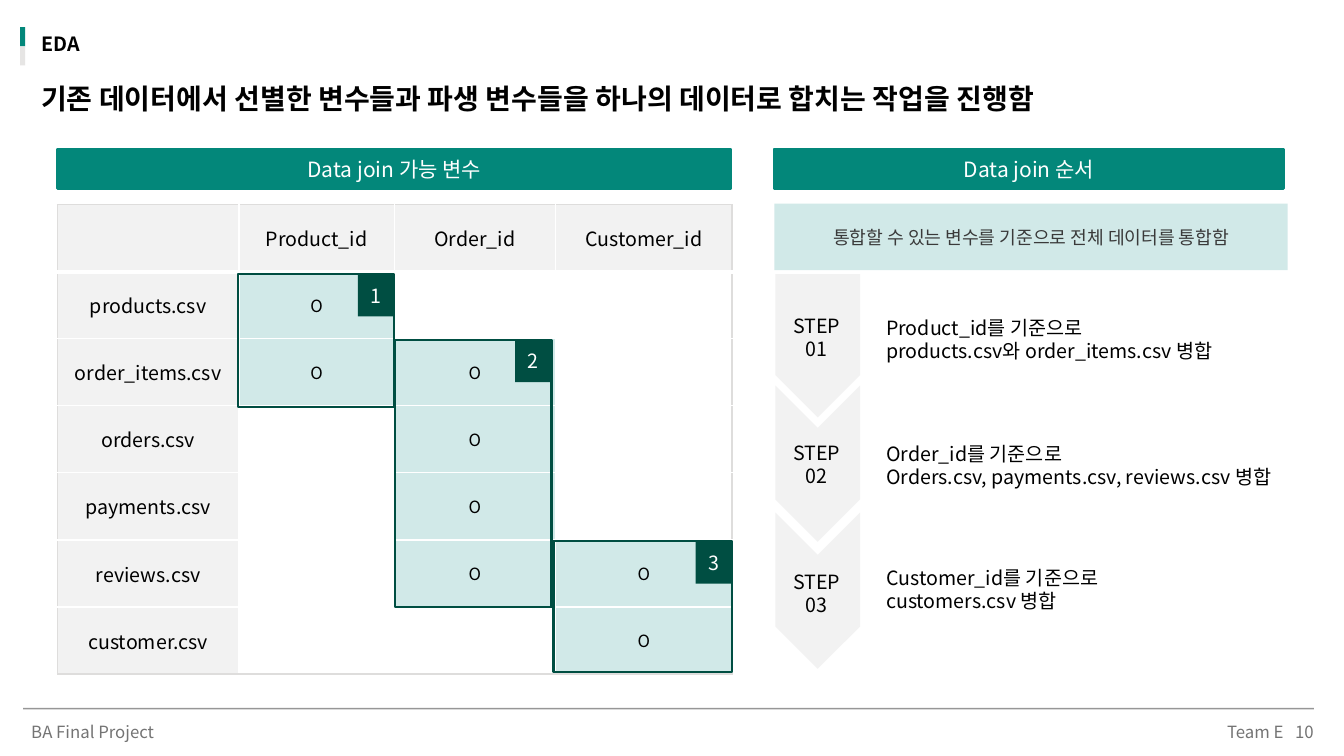
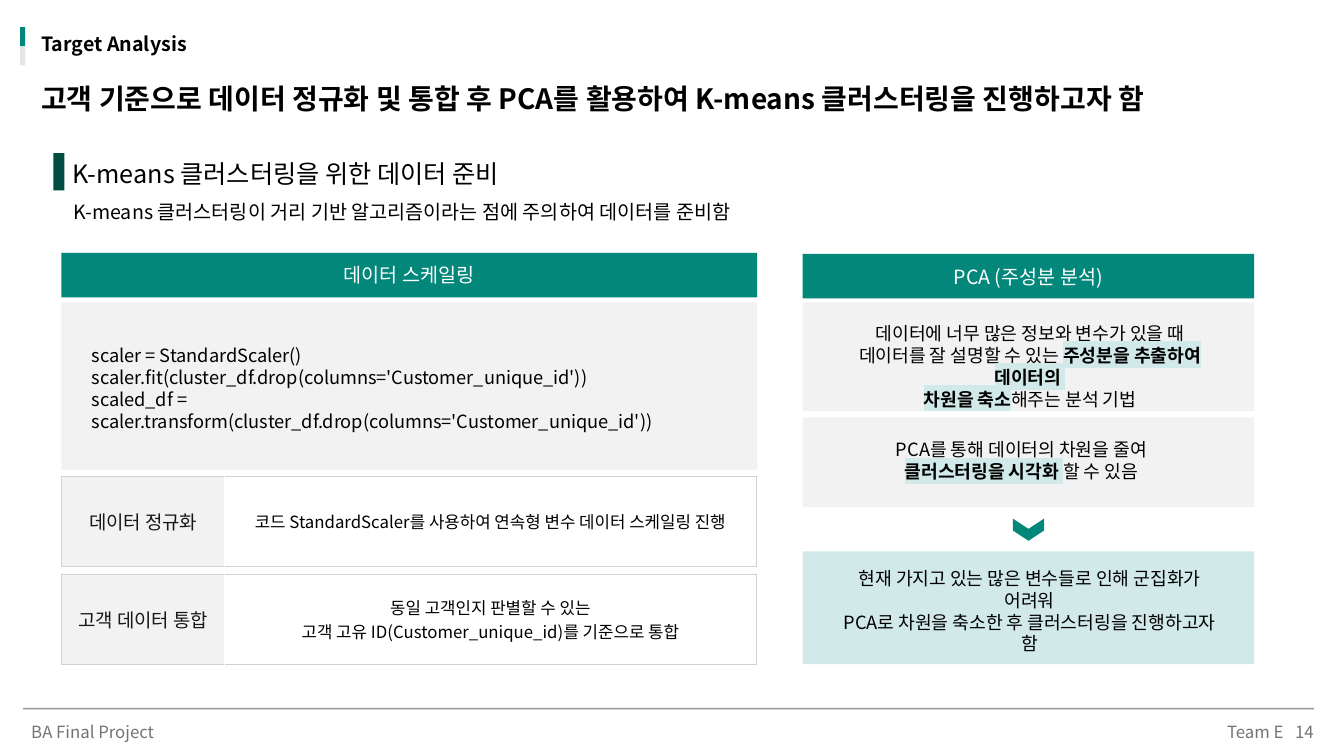
"""Build two project slides: joining the data and preparing it for K-means."""
from lxml.etree import SubElement
from pptx import Presentation
from pptx.dml.color import RGBColor
from pptx.enum.shapes import MSO_AUTO_SHAPE_TYPE as Shape, MSO_CONNECTOR as Connector
from pptx.enum.text import MSO_ANCHOR as Anchor, MSO_AUTO_SIZE as AutoSize, PP_ALIGN as Align
from pptx.oxml.ns import qn
from pptx.util import Inches, Pt

FONT = "Noto Sans CJK KR"
BLACK, WHITE, INK = "000000", "FFFFFF", "171717"
GREEN, DARK_GREEN, MINT = "03877A", "004E42", "D1E9E8"
PANEL, FOOTER_GRAY = "F2F2F2", "747474"


def color(value):
    """Turn a hex string into a colour."""
    return RGBColor.from_string(value)


def inches(values):
    """Turn a sequence of numbers into lengths."""
    return [Inches(value) for value in values]


def format_span(span, size, ink, bold=False, highlight=None):
    """Give one run its font, size, colour and highlight."""
    span.font.size = Pt(size)
    span.font.bold = bold
    span.font.color.rgb = color(ink)
    span.font.name = FONT
    latin = span.font._element.find(qn("a:latin"))
    if highlight:
        marker = SubElement(span.font._element, qn("a:highlight"))
        SubElement(marker, qn("a:srgbClr"), val=highlight)
        latin.addprevious(marker)
    east_asian = SubElement(span.font._element, qn("a:ea"), typeface=FONT)
    latin.addnext(east_asian)


def write(frame, text, size, ink=BLACK, bold=False, align=Align.CENTER, spacing=None):
    """Write lines of text, with starred parts bold and highlighted."""
    frame.text = text.replace("*", "")
    for para, line in zip(frame.paragraphs, text.split("\n")):
        para.alignment = align
        if spacing:
            para.line_spacing = spacing
        if "*" in line:
            para.clear()
            for index, part in enumerate(line.split("*")):
                if part:
                    span = para.add_run()
                    span.text = part
                    strong = index % 2 == 1
                    format_span(span, size, ink, strong, MINT if strong else None)
        else:
            for span in para.runs:
                format_span(span, size, ink, bold)


def add_text(page, at, text, size, ink=BLACK, bold=False, align=Align.LEFT,
             anchor=Anchor.TOP, spacing=None, inset=True):
    """Add a wrapping text box that grows with its text."""
    frame = page.shapes.add_textbox(*inches(at)).text_frame
    frame.word_wrap = True
    frame.auto_size = AutoSize.SHAPE_TO_FIT_TEXT
    frame.vertical_anchor = anchor
    if not inset:
        frame.margin_left = frame.margin_right = 0
        frame.margin_top = frame.margin_bottom = 0
    write(frame, text, size, ink, bold, align, spacing)


def add_block(page, at, fill=None, line=None, text=None, size=14, ink=WHITE, kind=Shape.RECTANGLE):
    """Add a flat preset shape with optional outline and centred text."""
    box = page.shapes.add_shape(kind, *inches(at))
    box.shadow.inherit = False
    if fill:
        box.fill.solid()
        box.fill.fore_color.rgb = color(fill)
    else:
        box.fill.background()
    if line:
        box.line.color.rgb = color(line)
        box.line.width = Pt(1.5)
    else:
        box.line.fill.background()
    if text:
        box.text_frame.word_wrap = True
        box.text_frame.vertical_anchor = Anchor.MIDDLE
        write(box.text_frame, text, size, ink)
    return box


def add_down_arrow(page, kind, center, length, breadth):
    """Add an arrow shape turned to point down, placed by its centre."""
    at = (center[0] - length / 2, center[1] - breadth / 2, length, breadth)
    arrow = add_block(page, at, PANEL, kind=kind)
    arrow.rotation = 90
    return arrow


def set_borders(cell, borders):
    """Draw the left, right, top and bottom borders of a cell."""
    properties = cell._tc.get_or_add_tcPr()
    for index, (side, (ink, width)) in enumerate(zip("LRTB", borders)):
        edge = SubElement(properties, qn(f"a:ln{side}"), w=str(Pt(width)))
        SubElement(SubElement(edge, qn("a:solidFill")), qn("a:srgbClr"), val=ink)
        properties.insert(index, edge)


def add_grid(page, at, widths, rows, edge, label_size, label_ink=BLACK, header=False):
    """Add a table with grey labels, white inner lines and a coloured outer edge."""
    table = page.shapes.add_table(len(rows), len(widths), *inches(at)).table
    table.first_row = table.horz_banding = False
    for column, width in zip(table.columns, widths):
        column.width = Inches(width)
    last_row, last_column = len(rows) - 1, len(widths) - 1
    for r, row in enumerate(rows):
        table.rows[r].height = Inches(at[3] / len(rows))
        for c, text in enumerate(row):
            cell = table.cell(r, c)
            top_row = header and r == 0
            is_label = c == 0 or top_row
            cell.fill.solid()
            fill = PANEL if is_label else MINT if text == "O" else WHITE
            cell.fill.fore_color.rgb = color(fill)
            cell.vertical_anchor = Anchor.MIDDLE
            if text:
                write(cell.text_frame, text, label_size if is_label else 12,
                      label_ink if is_label else BLACK)
            set_borders(cell, [
                (edge if c == 0 else WHITE, 1),
                (edge if c == last_column else WHITE, 1),
                (edge if r == 0 else WHITE, 1),
                (edge if r == last_row else WHITE, 3 if top_row else 1),
            ])


def add_page(deck, section, title, number):
    """Add a slide with the shared section mark, title and footer."""
    page = deck.slides.add_slide(deck.slide_layouts[6])
    for top, fill in ((0.27, GREEN), (0.46, "E6E5E4")):
        add_block(page, (0.2, top, 0.05, 0.19), fill)
    add_text(page, (0.31, 0.27, 2.29, 0.34), section, 14, bold=True)
    add_text(page, (0.31, 0.76, 12.71, 0.44), title, 20, bold=True)

    rule = page.shapes.add_connector(Connector.STRAIGHT, *inches((13.03, 7.03, 0.23, 7.03)))
    rule.line.color.rgb = color("404040")
    rule.line.width = Pt(1)
    properties = rule._element.spPr
    tint = properties.find(".//" + qn("a:srgbClr"))
    SubElement(tint, qn("a:alpha"), val="54000")
    SubElement(properties, qn("a:effectLst"))

    for left, text, align in (
        (0.31, "BA Final Project", Align.LEFT),
        (9.24, "Team E", Align.RIGHT),
        (9.54, number, Align.RIGHT),
    ):
        add_text(page, (left, 7.18, 3.49, 0.18), text, 12, FOOTER_GRAY,
                 align=align, spacing=0.9, inset=False)
    return page


def add_join_page(deck):
    """Add the slide on join keys and join order."""
    page = add_page(deck, "EDA",
                    "기존 데이터에서 선별한 변수들과 파생 변수들을 하나의 데이터로 합치는 작업을 진행함", "10")
    for left, width, text in ((0.57, 6.68, "Data join 가능 변수"), (7.68, 5.05, "Data join 순서")):
        add_block(page, (left, 1.48, width, 0.39), GREEN, GREEN, text, 15)

    rows = [
        ("", "Product_id", "Order_id", "Customer_id"),
        ("products.csv", "O", "", ""),
        ("order_items.csv", "O", "O", ""),
        ("orders.csv", "", "O", ""),
        ("payments.csv", "", "O", ""),
        ("reviews.csv", "", "O", "O"),
        ("customer.csv", "", "", "O"),
    ]
    add_grid(page, (0.57, 2.03, 6.69, 4.66), (1.8, 1.54, 1.6, 1.75), rows,
             "DEDDDC", 14, header=True)

    frames = [(2.36, 2.72, 1.55, 1.32), (3.92, 3.37, 1.55, 2.65), (5.49, 5.37, 1.77, 1.3)]
    badge = 0.36
    for number, frame in enumerate(frames, 1):
        left, top, width, _ = frame
        add_block(page, frame, line=DARK_GREEN)
        add_block(page, (left + width - badge, top, badge, 0.42), DARK_GREEN, text=str(number))

    add_block(page, (7.68, 2.02, 5.09, 0.66), MINT,
              text="통합할 수 있는 변수를 기준으로 전체 데이터를 통합함", size=13, ink="3A3A3A")
    steps = [
        (Shape.PENTAGON, 1.42, 3.43, 3.06, 3.08,
         "Product_id를 기준으로\nproducts.csv와 order_items.csv 병합"),
        (Shape.CHEVRON, 1.55, 4.6, 4.32, 4.33,
         "Order_id를 기준으로\nOrders.csv, payments.csv, reviews.csv 병합"),
        (Shape.CHEVRON, 1.55, 5.86, 5.6, 5.56,
         "Customer_id를 기준으로\ncustomers.csv 병합"),
    ]
    for number, (kind, length, middle, label_top, text_top, text) in enumerate(steps, 1):
        add_down_arrow(page, kind, (8.11, middle), length, 0.84)
        add_text(page, (7.7, label_top, 0.8, 0.57), f"STEP\n{number:02}", 14,
                 align=Align.CENTER, anchor=Anchor.MIDDLE)
        add_text(page, (8.69, text_top, 4.35, 0.57), text, 14, anchor=Anchor.MIDDLE)


def add_cluster_page(deck):
    """Add the slide on scaling and PCA before clustering."""
    page = add_page(deck, "Target Analysis",
                    "고객 기준으로 데이터 정규화 및 통합 후 PCA를 활용하여 K-means 클러스터링을 진행하고자 함", "14")
    add_block(page, (0.53, 1.52, 0.11, 0.37), DARK_GREEN)
    add_text(page, (0.62, 1.52, 5.52, 0.4), "K-means 클러스터링을 위한 데이터 준비", 18)
    add_text(page, (0.63, 1.93, 8.13, 0.34),
             "K-means 클러스터링이 거리 기반 알고리즘이라는 점에 주의하여 데이터를 준비함", 14)

    left, width = 0.61, 6.9
    add_block(page, (left, 2.51, width, 0.44), GREEN, text="데이터 스케일링")
    add_block(page, (left, 3, width, 1.66), PANEL)
    code = ("scaler = StandardScaler()\n"
            "scaler.fit(cluster_df.drop(columns='Customer_unique_id'))\n"
            "scaled_df = scaler.transform(cluster_df.drop(columns='Customer_unique_id'))")
    add_text(page, (0.81, 3.37, 6.59, 0.76), code, 13)
    notes = [
        ("데이터 정규화", "코드 StandardScaler를 사용하여 연속형 변수 데이터 스케일링 진행"),
        ("고객 데이터 통합",
         "동일 고객인지 판별할 수 있는\n고객 고유 ID(Customer_unique_id)를 기준으로 통합"),
    ]
    for index, note in enumerate(notes):
        add_grid(page, (left, 4.73 + 0.97 * index, width, 0.89), (1.62, 5.27), [note],
                 "D1D1D1", 13.5, INK)

    left, width = 7.96, 4.48
    add_block(page, (left, 2.52, width, 0.44), GREEN, text="PCA (주성분 분석)")
    for top, height, fill in ((3, 1.08, PANEL), (4.14, 0.89, PANEL), (5.47, 1.12, MINT)):
        add_block(page, (left, top, width, height), fill)
    passages = [
        ((8.27, 3.15, 3.89, 0.76), Anchor.TOP,
         "데이터에 너무 많은 정보와 변수가 있을 때 데이터를 잘 설명할 수 있는 "
         "*주성분을 추출하여 데이터의 *\n*차원을 축소*해주는 분석 기법"),
        ((8.1, 4.3, 4.06, 0.54), Anchor.MIDDLE,
         "PCA를 통해 데이터의 차원을 줄여\n*클러스터링을 시각화 *할 수 있음"),
        ((8.18, 5.79, 4.06, 0.54), Anchor.MIDDLE,
         "현재 가지고 있는 많은 변수들로 인해 군집화가 어려워\n"
         "PCA로 차원을 축소한 후 클러스터링을 진행하고자 함"),
    ]
    for at, anchor, text in passages:
        add_text(page, at, text, 13, align=Align.CENTER, anchor=anchor)
    arrow = add_down_arrow(page, Shape.CHEVRON, (10.2, 5.255), 0.22, 0.31)
    arrow.adjustments[0] = 0.465
    arrow.fill.fore_color.rgb = color(GREEN)


def main():
    """Build and save the deck."""
    deck = Presentation()
    deck.slide_width, deck.slide_height = inches((13.33, 7.5))
    add_join_page(deck)
    add_cluster_page(deck)
    deck.save("out.pptx")


if __name__ == "__main__":
    main()
